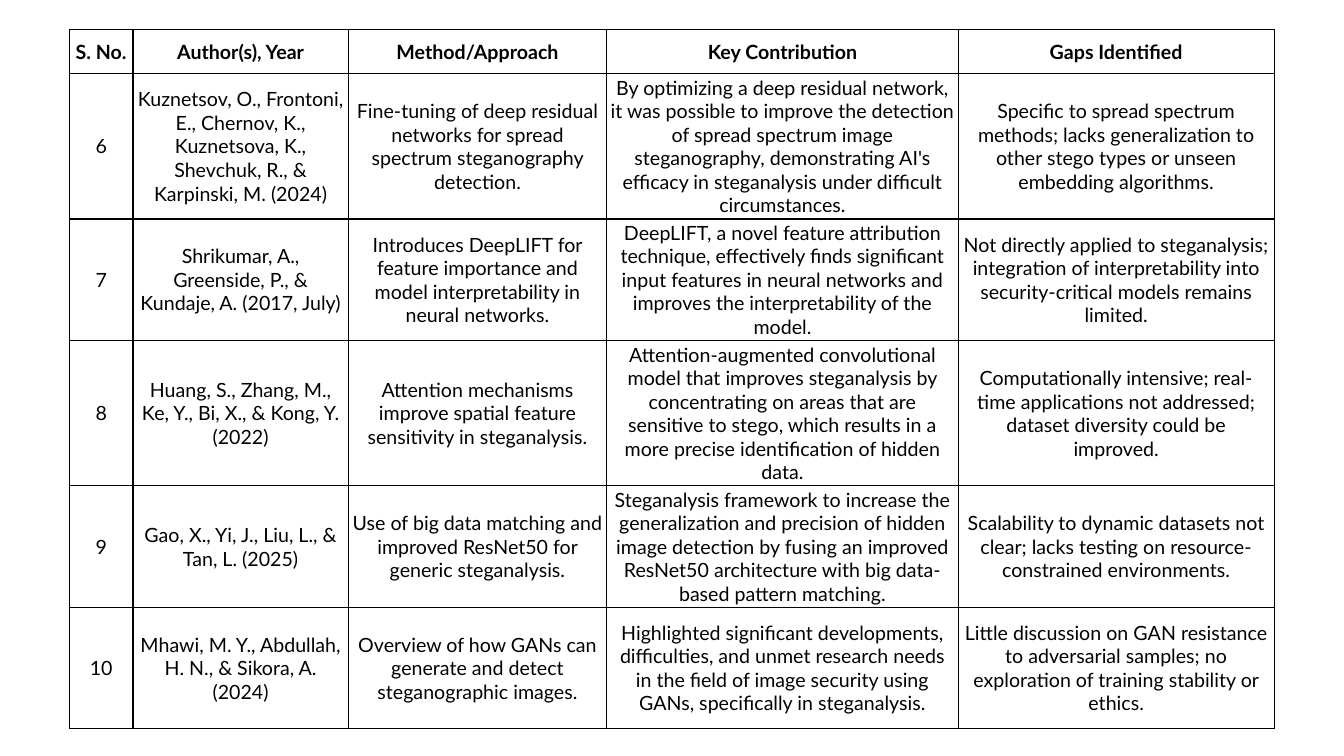
from lxml import etree
from pptx import Presentation
from pptx import util as u
from pptx.dml import color
from pptx.enum import text
from pptx.oxml import ns

COLORS = {"ink": "000000", "paper": "FFFFFF"}
FONT = "Lato"
COLUMN_WIDTHS = [1.6, 5.43, 6.51, 8.86, 7.96]
HEADER_HEIGHT, STUDY_HEIGHT = 1.12, 3.05

ROWS = [
    ["S. No.", "Author(s), Year", "Method/Approach", "Key Contribution", "Gaps Identified"],
    ["6",
     "Kuznetsov, O., Frontoni, E., Chernov, K., Kuznetsova, K., Shevchuk, R., & Karpinski, M. (2024)",
     "Fine-tuning of deep residual networks for spread spectrum steganography detection.",
     "By optimizing a deep residual network, it was possible to improve the detection of spread "
     "spectrum image steganography, demonstrating AI's efficacy in steganalysis under difficult "
     "circumstances.",
     "Specific to spread spectrum methods; lacks generalization to other stego types or unseen "
     "embedding algorithms."],
    ["7",
     "Shrikumar, A., Greenside, P., & Kundaje, A. (2017, July)",
     "Introduces DeepLIFT for feature importance and model interpretability in neural networks.",
     "DeepLIFT, a novel feature attribution technique, effectively finds significant input "
     "features in neural networks and improves the interpretability of the model.",
     "Not directly applied to steganalysis; integration of interpretability into "
     "security-critical models remains limited."],
    ["8",
     "Huang, S., Zhang, M., Ke, Y., Bi, X., & Kong, Y. (2022)",
     "Attention mechanisms improve spatial feature sensitivity in steganalysis.",
     "Attention-augmented convolutional model that improves steganalysis by concentrating on "
     "areas that are sensitive to stego, which results in a more precise identification of "
     "hidden data.",
     "Computationally intensive; real-time applications not addressed; dataset diversity could "
     "be improved."],
    ["9",
     "Gao, X., Yi, J., Liu, L., & Tan, L. (2025)",
     "Use of big data matching and improved ResNet50 for generic steganalysis.",
     "Steganalysis framework to increase the generalization and precision of hidden image "
     "detection by fusing an improved ResNet50 architecture with big data-based pattern matching.",
     "Scalability to dynamic datasets not clear; lacks testing on resource-constrained "
     "environments."],
    ["10",
     "Mhawi, M. Y., Abdullah, H. N., & Sikora, A. (2024)",
     "Overview of how GANs can generate and detect steganographic images.",
     "Highlighted significant developments, difficulties, and unmet research needs in the field "
     "of image security using GANs, specifically in steganalysis.",
     "Little discussion on GAN resistance to adversarial samples; no exploration of training "
     "stability or ethics."],
]


def add_borders(cell):
    properties = cell._tc.get_or_add_tcPr()
    for position, side in enumerate(["lnL", "lnR", "lnT", "lnB"]):
        line = etree.Element(ns.qn(f"a:{side}"), w=str(u.Pt(1)))
        fill = etree.SubElement(line, ns.qn("a:solidFill"))
        etree.SubElement(fill, ns.qn("a:srgbClr"), val=COLORS["ink"])
        # Borders must come before the cell's fill
        properties.insert(position, line)


deck = Presentation()
deck.slide_width, deck.slide_height = u.Cm(33.87), u.Cm(19.05)
page = deck.slides.add_slide(deck.slide_layouts[6])

table_height = HEADER_HEIGHT + STUDY_HEIGHT * (len(ROWS) - 1)
studies = page.shapes.add_table(
    len(ROWS), len(COLUMN_WIDTHS),
    u.Cm(1.75), u.Cm(0.74), u.Cm(sum(COLUMN_WIDTHS)), u.Cm(table_height),
).table

for column, width in zip(studies.columns, COLUMN_WIDTHS):
    column.width = u.Cm(width)

for row_index, entries in enumerate(ROWS):
    is_header = row_index == 0
    studies.rows[row_index].height = u.Cm(HEADER_HEIGHT if is_header else STUDY_HEIGHT)
    for column_index, entry in enumerate(entries):
        cell = studies.cell(row_index, column_index)
        cell.fill.solid()
        cell.fill.fore_color.rgb = color.RGBColor.from_string(COLORS["paper"])
        add_borders(cell)
        cell.vertical_anchor = text.MSO_ANCHOR.MIDDLE
        cell.margin_left = cell.margin_right = u.Cm(0.1)
        cell.margin_top = cell.margin_bottom = u.Cm(0.05)
        para = cell.text_frame.paragraphs[0]
        para.alignment = text.PP_ALIGN.CENTER
        span = para.add_run()
        span.text = entry
        span.font.name = FONT
        span.font.size = u.Pt(14)
        span.font.bold = is_header
        span.font.color.rgb = color.RGBColor.from_string(COLORS["ink"])

deck.save("out.pptx")
